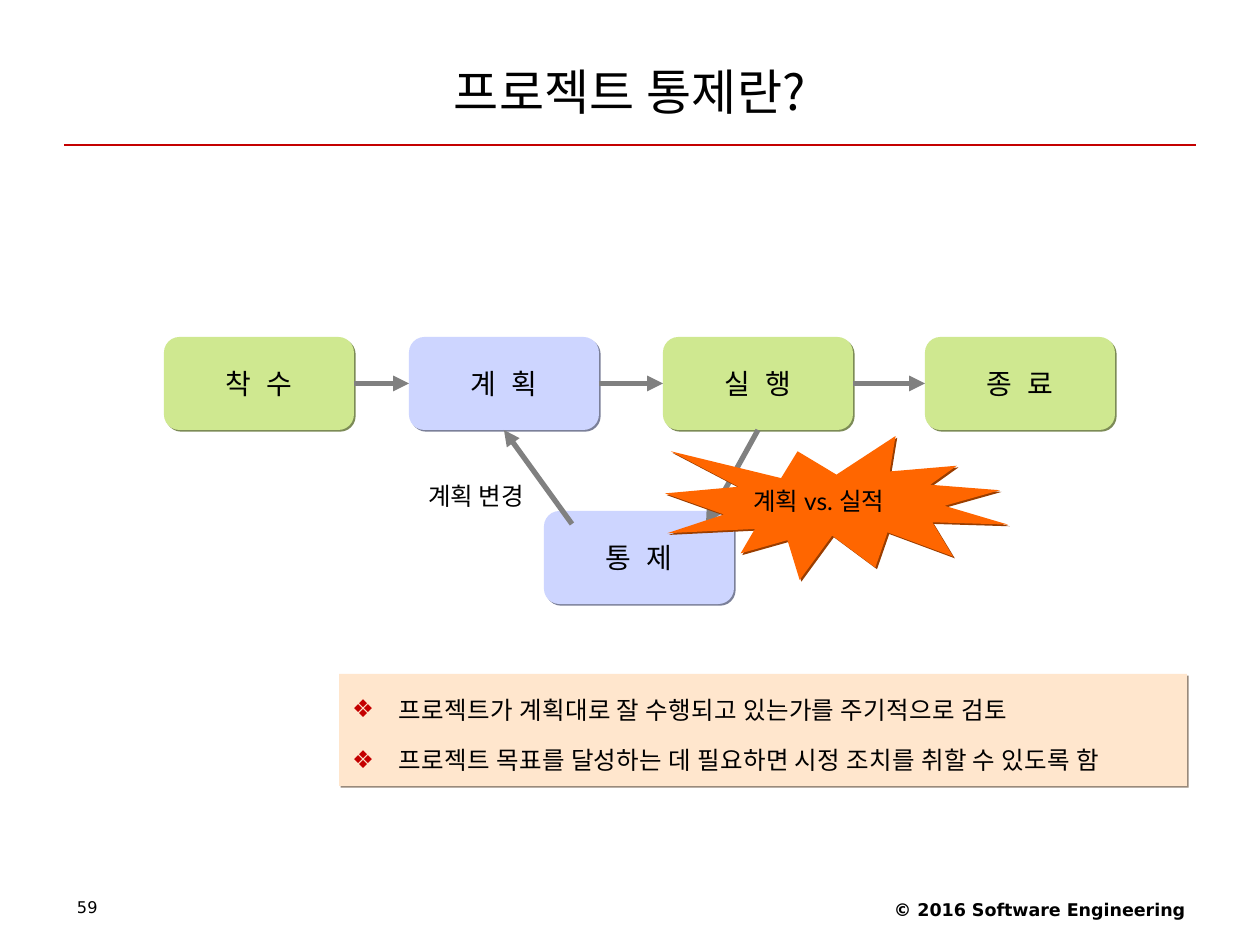
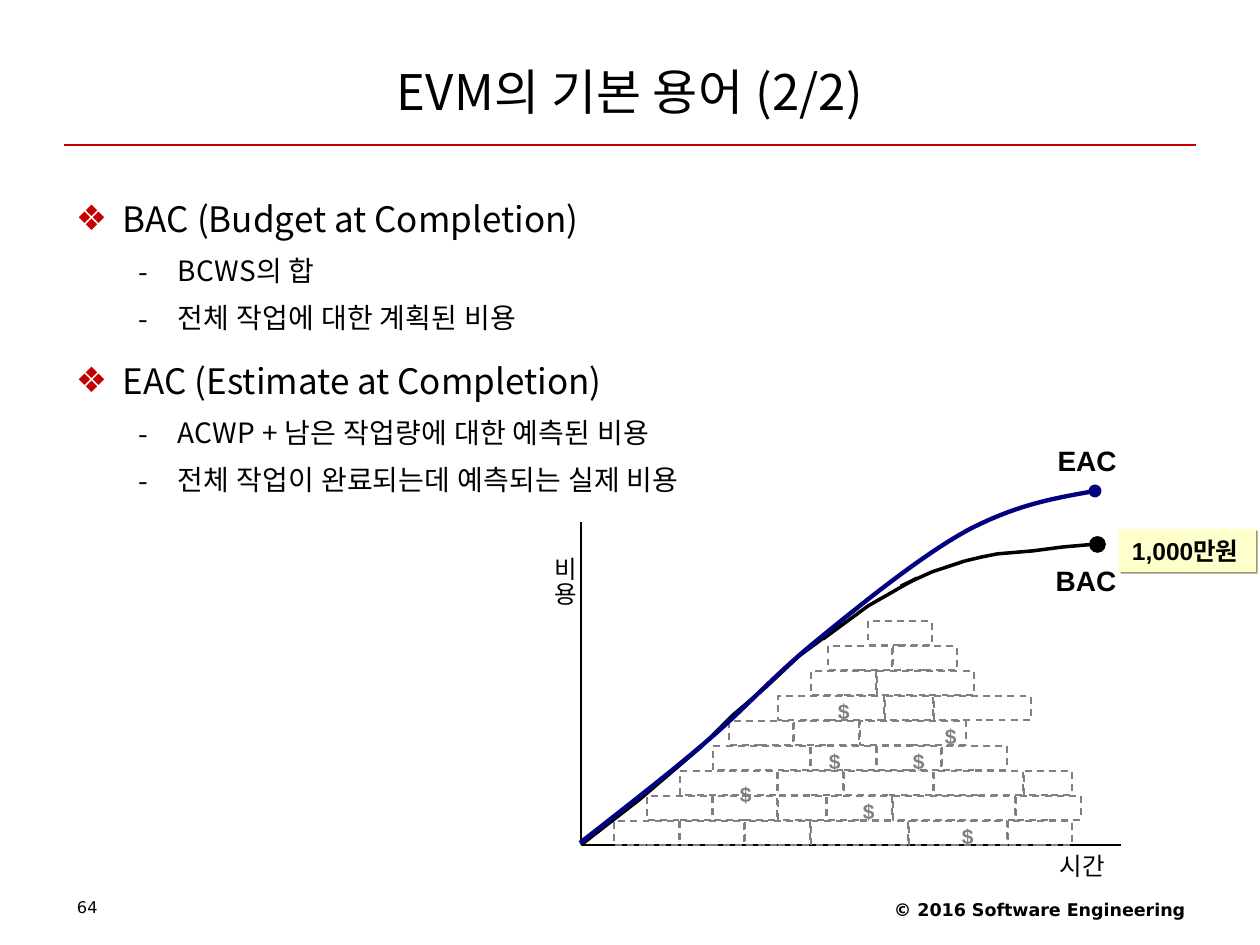
from lxml.etree import SubElement
from pptx import Presentation
from pptx.dml.color import RGBColor
from pptx.enum.dml import MSO_LINE
from pptx.enum.shapes import MSO_CONNECTOR, MSO_SHAPE
from pptx.enum.text import MSO_ANCHOR, PP_ALIGN
from pptx.oxml.ns import qn
from pptx.util import Emu, Pt

EMU_PER_PX = 914400 / 126
KOREAN, LATIN, SANS, ARIAL = "Noto Sans CJK KR", "Lato", "DejaVu Sans", "Arial"

BLACK = RGBColor(0x00, 0x00, 0x00)
RED = RGBColor(0xC4, 0x00, 0x00)
GRAY = RGBColor(0x80, 0x80, 0x80)
NAVY = RGBColor(0x00, 0x00, 0x80)
GREEN = RGBColor(0xCF, 0xE8, 0x90)
GREEN_SHADE = RGBColor(0x7C, 0x8B, 0x56)
LILAC = RGBColor(0xCD, 0xD5, 0xFF)
LILAC_SHADE = RGBColor(0x7B, 0x80, 0x99)
ORANGE = RGBColor(0xFF, 0x66, 0x00)
ORANGE_SHADE = RGBColor(0x99, 0x3D, 0x00)
PEACH = RGBColor(0xFF, 0xE6, 0xCD)
PEACH_SHADE = RGBColor(0x99, 0x8A, 0x7B)
CREAM = RGBColor(0xFF, 0xFF, 0xCC)
CREAM_SHADE = RGBColor(0x99, 0x99, 0x7A)

# Content shared by the slides
FOOTER = "© 2016 Software Engineering"

# Control slide: phases as text, left, top, fill, shade
CONTROL_TITLE, CONTROL_NUMBER = "프로젝트 통제란?", "59"
PHASE_SIZE = (190, 93)
PHASES = {
    "start": ("착 수", 164, 337, GREEN, GREEN_SHADE),
    "plan": ("계 획", 409, 337, LILAC, LILAC_SHADE),
    "execute": ("실 행", 663, 337, GREEN, GREEN_SHADE),
    "close": ("종 료", 925, 337, GREEN, GREEN_SHADE),
    "control": ("통 제", 544, 511, LILAC, LILAC_SHADE),
}
PHASE_FLOW = ["start", "plan", "execute", "close"]
CONTROL_ENTRY, CONTROL_EXIT = (706, 524), (572, 524)
CONTROL_NOTES = [
    "프로젝트가 계획대로 잘 수행되고 있는가를 주기적으로 검토",
    "프로젝트 목표를 달성하는 데 필요하면 시정 조치를 취할 수 있도록 함",
]

# Terms slide: (term, explanations)
TERMS_TITLE, TERMS_NUMBER = "EVM의 기본 용어 (2/2)", "64"
TERMS = [
    ("BAC (Budget at Completion)",
     ["BCWS의 합", "전체 작업에 대한 계획된 비용"]),
    ("EAC (Estimate at Completion)",
     ["ACWP + 남은 작업량에 대한 예측된 비용",
      "전체 작업이 완료되는데 예측되는 실제 비용"]),
]
AXES = [((581, 522), (581, 844)), ((582, 845), (1121, 845))]
BAC_STROKES = [
    [(581, 845), (639, 800), (701, 747)],
    [(701, 747), (732, 716), (766, 687)],
    [(766, 687), (799, 656), (833, 631)],
    [(823, 639), (868, 606), (917, 578)],
    [(901, 586), (932, 572), (965, 561)],
    [(965, 561), (982, 557), (997, 554), (1032, 551)],
    [(1032, 551), (1063, 547), (1097, 544)],
]
# Start, then two control points and an end for each curve
EAC_CURVE = [
    (580, 843),
    (622, 810), (665, 777), (706, 742),
    (746, 708), (775, 674), (820, 638),
    (864, 602), (925, 553), (970, 529),
    (1017, 505), (1056, 498), (1095, 491),
]
# Brick edges in each row, from the bottom row up
BRICK_ROWS = [
    [614, 680, 745, 811, 909, 1008, 1073],
    [647, 713, 778, 827, 893, 1016, 1082],
    [680, 778, 844, 934, 1024, 1073],
    [713, 811, 877, 942, 1008],
    [729, 794, 860, 967],
    [778, 885, 934, 1032],
    [811, 877, 975],
    [828, 893, 958],
    [868, 933],
]
BRICK_BOTTOM, BRICK_PITCH, BRICK_HEIGHT = 821, 25, 24
DOLLARS = [(825, 692), (900, 742), (850, 792), (727, 775),
           (816, 742), (949, 817), (932, 717)]

TERM_STYLE = dict(size=20, bullet="❖", bullet_color=RED, bullet_font=SANS,
                  margin=47, hanging=47, spacing=1.4, before=5)
DETAIL_STYLE = dict(size=16, bullet="-", bullet_font=KOREAN, margin=102,
                    hanging=39, spacing=1.2, before=4, level=1, tracking=20)
NOTE_STYLE = dict(size=14, bullet="❖", bullet_color=RED, bullet_font=SANS,
                  margin=47, hanging=47, spacing=1.5, before=3.5, tracking=20)
SHORT_LABEL = dict(align=PP_ALIGN.CENTER, insets=(4, 6))


def px(length):
    return Emu(round(length * EMU_PER_PX))


def put_text(shape, text, size=14, font=KOREAN, color=BLACK, bold=False,
             align=PP_ALIGN.LEFT, anchor=MSO_ANCHOR.MIDDLE, wrap=False,
             insets=(13, 6), spacing=None, before=0, tracking=None, level=0,
             bullet=None, bullet_color=BLACK, bullet_font=SANS,
             margin=0, hanging=0):
    """Write one paragraph; a shape that already has text gets another."""
    frame = shape.text_frame
    frame.word_wrap, frame.vertical_anchor = wrap, anchor
    frame.margin_left = frame.margin_right = px(insets[0])
    frame.margin_top = frame.margin_bottom = px(insets[1])
    paragraph = frame.add_paragraph() if frame.text else frame.paragraphs[0]
    paragraph.alignment, paragraph.level = align, level
    paragraph.space_before = Pt(before)
    if spacing:
        paragraph.line_spacing = spacing
    if bullet:
        props = paragraph._p.get_or_add_pPr()
        props.set("marL", str(px(margin)))
        props.set("indent", str(-px(hanging)))
        tint = SubElement(props, qn("a:buClr"))
        SubElement(tint, qn("a:srgbClr"), val=str(bullet_color))
        SubElement(props, qn("a:buFont"), typeface=bullet_font)
        SubElement(props, qn("a:buChar"), char=bullet)
    run = paragraph.add_run()
    run.text = text
    run.font.size, run.font.name, run.font.bold = Pt(size), font, bold
    run.font.color.rgb = color
    run_props = run._r.get_or_add_rPr()
    SubElement(run_props, qn("a:ea"), typeface=KOREAN)
    if tracking:
        run_props.set("spc", str(tracking))


def add_label(slide, box, text, **style):
    label = slide.shapes.add_textbox(*map(px, box))
    put_text(label, text, **style)
    return label


def set_line(shape, color, width):
    shape.line.color.rgb, shape.line.width = color, Pt(width)


def set_end(shape, kind):
    SubElement(shape.line._get_or_add_ln(), qn("a:tailEnd"), type=kind)


def add_block(slide, kind, box, fill=None, shade=None):
    block = slide.shapes.add_shape(kind, *map(px, box))
    block.shadow.inherit = False
    block.line.fill.background()
    if fill is None:
        block.fill.background()
    else:
        block.fill.solid()
        block.fill.fore_color.rgb = fill
    if shade is not None:
        effects = block._element.spPr.find(qn("a:effectLst"))
        shadow = SubElement(effects, qn("a:outerShdw"), blurRad="0",
                            dist=str(Pt(1.4)), dir="2700000", algn="ctr")
        SubElement(shadow, qn("a:srgbClr"), val=str(shade))
    return block


def add_line(slide, start, end, color, width):
    line = slide.shapes.add_connector(MSO_CONNECTOR.STRAIGHT,
                                      *map(px, (*start, *end)))
    set_line(line, color, width)
    SubElement(line._element.spPr, qn("a:effectLst"))
    return line


def add_stroke(slide, points, color, width):
    builder = slide.shapes.build_freeform(*points[0], scale=EMU_PER_PX)
    builder.add_line_segments(points[1:], close=False)
    stroke = builder.convert_to_shape()
    stroke.shadow.inherit = False
    stroke.fill.background()
    set_line(stroke, color, width)
    return stroke


def bend(stroke):
    """Turn each three line segments into one cubic curve."""
    outline = next(stroke._element.iter(qn("a:path")))
    segments = outline.findall(qn("a:lnTo"))
    for first in range(0, len(segments), 3):
        curve = SubElement(outline, qn("a:cubicBezTo"))
        for segment in segments[first:first + 3]:
            curve.append(segment[0])
            outline.remove(segment)


def add_slide(deck, title, number):
    slide = deck.slides.add_slide(deck.slide_layouts[6])
    add_line(slide, (64, 145), (1196, 145), RED, 0.75)
    add_label(slide, (799, 893, 399, 37), FOOTER, size=10, font=SANS, bold=True,
              align=PP_ALIGN.RIGHT, anchor=MSO_ANCHOR.TOP, wrap=True)
    add_label(slide, (64, 894, 294, 35), number, size=9.2, font=SANS,
              anchor=MSO_ANCHOR.TOP, wrap=True, spacing=0.9)
    add_label(slide, (63, 37, 1134, 107), title, size=28,
              align=PP_ALIGN.CENTER, wrap=True, tracking=20)
    return slide


def build_control(deck):
    slide = add_slide(deck, CONTROL_TITLE, CONTROL_NUMBER)

    # Phases
    phases = {}
    for key, (name, left, top, fill, shade) in PHASES.items():
        phases[key] = add_block(slide, MSO_SHAPE.ROUNDED_RECTANGLE,
                                (left, top, *PHASE_SIZE), fill, shade)
        put_text(phases[key], name, size=16, align=PP_ALIGN.CENTER,
                 insets=(15, 8), tracking=240)

    # Arrows between phases, then to and from control
    arrows = []
    for source, target in zip(PHASE_FLOW, PHASE_FLOW[1:]):
        arrow = add_line(slide, (0, 0), (0, 0), GRAY, 3)
        arrow.begin_connect(phases[source], 3)
        arrow.end_connect(phases[target], 1)
        arrows.append(arrow)
    check = add_line(slide, CONTROL_ENTRY, CONTROL_ENTRY, GRAY, 3)
    check.begin_connect(phases["execute"], 2)
    change = add_line(slide, CONTROL_EXIT, CONTROL_EXIT, GRAY, 3)
    change.end_connect(phases["plan"], 2)
    for arrow in arrows + [check, change]:
        set_end(arrow, "triangle")

    # Plan change and comparison
    add_label(slide, (413, 473, 134, 45), "계획 변경", font=LATIN, insets=(15, 8))
    burst = add_block(slide, MSO_SHAPE.EXPLOSION1, (665, 436, 343, 144),
                      ORANGE, ORANGE_SHADE)
    put_text(burst, "계획 vs. 실적", font=LATIN, insets=(15, 8), wrap=True)
    burst.text_frame.margin_bottom = px(14)

    # Notes
    notes = add_block(slide, MSO_SHAPE.RECTANGLE, (339, 674, 848, 112),
                      PEACH, PEACH_SHADE)
    for note in CONTROL_NOTES:
        put_text(notes, note, anchor=MSO_ANCHOR.TOP, wrap=True, **NOTE_STYLE)


def build_terms(deck):
    slide = add_slide(deck, TERMS_TITLE, TERMS_NUMBER)

    # Terms
    body = slide.shapes.add_textbox(*map(px, (63, 175, 1134, 694)))
    for term, details in TERMS:
        put_text(body, term, anchor=MSO_ANCHOR.TOP, wrap=True, **TERM_STYLE)
        for detail in details:
            put_text(body, detail, anchor=MSO_ANCHOR.TOP, wrap=True,
                     **DETAIL_STYLE)

    # Axes and planned cost
    for start, end in AXES:
        add_line(slide, start, end, BLACK, 1)
    for points in BAC_STROKES:
        add_stroke(slide, points, BLACK, 2)
    cost = add_label(slide, (532, 551, 54, 62), "비용", font=SANS,
                     insets=(6, 6), anchor=MSO_ANCHOR.TOP)
    cost.text_frame._txBody.bodyPr.set("vert", "eaVert")
    add_label(slide, (1047, 845, 71, 42), "시간", font=SANS, **SHORT_LABEL)
    bac_end = add_block(slide, MSO_SHAPE.OVAL, (1090, 537, 15, 15), BLACK)
    set_line(bac_end, BLACK, 1)
    add_label(slide, (1043, 558, 86, 45), "BAC", size=16, font=ARIAL, bold=True,
              **SHORT_LABEL)

    # Pile of bricks
    for row, edges in enumerate(BRICK_ROWS):
        top = BRICK_BOTTOM - row * BRICK_PITCH
        for left, right in zip(edges, edges[1:]):
            brick = add_block(slide, MSO_SHAPE.RECTANGLE,
                              (left, top, right - left - 1, BRICK_HEIGHT))
            set_line(brick, GRAY, 1)
            brick.line.dash_style = MSO_LINE.DASH
    for left, top in DOLLARS:
        add_label(slide, (left, top, 37, 38), "$", size=12, font=ARIAL,
                  color=GRAY, bold=True)

    # Budget tag and estimated cost
    budget = add_block(slide, MSO_SHAPE.RECTANGLE, (1119, 529, 137, 43),
                       CREAM, CREAM_SHADE)
    put_text(budget, "1,000만원", font=ARIAL, bold=True)
    estimate = add_stroke(slide, EAC_CURVE, NAVY, 2.5)
    bend(estimate)
    set_end(estimate, "oval")
    add_label(slide, (1045, 438, 84, 45), "EAC", size=16, font=ARIAL, bold=True,
              **SHORT_LABEL)


def main():
    deck = Presentation()
    deck.slide_width, deck.slide_height = px(1260), px(945)
    build_control(deck)
    build_terms(deck)
    deck.save("out.pptx")


if __name__ == "__main__":
    main()
